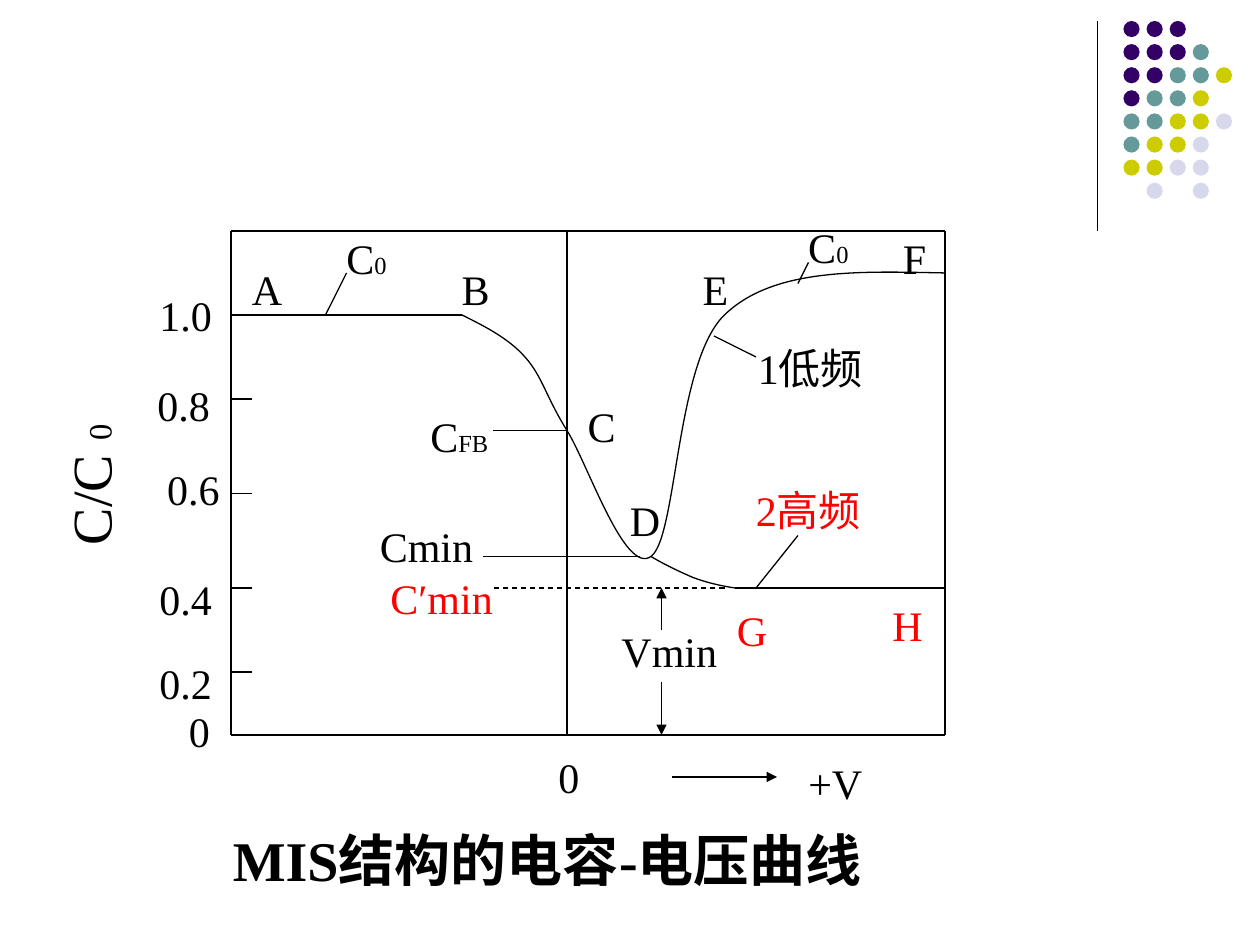
import itertools
from dataclasses import dataclass

import lxml.etree
import pptx
import pptx.dml.color
import pptx.enum.dml
import pptx.enum.shapes
import pptx.enum.text
import pptx.oxml.ns
import pptx.util


@dataclass(frozen=True)
class Theme:
    font: str = "Times New Roman"
    ink: str = "000000"
    accent: str = "FF0000"
    purple: str = "330066"
    teal: str = "669999"
    olive: str = "CCCC00"
    mist: str = "D8D8EC"
    heading: int = 32
    label: int = 24
    small: int = 14
    hairline: float = 0.75


THEME = Theme()
COLUMNS, ROWS = 60, 45
LEFT, AXIS, RIGHT, TOP, BOTTOM = 11, 27, 45, 11, 35


def rgb(value):
    return pptx.dml.color.RGBColor.from_string(value)


def write(paragraph, text, size=THEME.label, color=THEME.ink, bold=False, baseline=0):
    run = paragraph.add_run()
    run.text = text
    run.font.name = THEME.font
    run.font.size = pptx.util.Pt(size)
    run.font.bold = bold
    run.font.color.rgb = rgb(color)
    if baseline:
        run.font._element.set("baseline", str(baseline * 1000))


class GridSlide:
    def __init__(self, deck, theme):
        self.theme = theme
        self.slide = deck.slides.add_slide(deck.slide_layouts[6])
        self.cell_width = deck.slide_width / COLUMNS
        self.cell_height = deck.slide_height / ROWS

    def place(self, column, row):
        return round(column * self.cell_width), round(row * self.cell_height)

    def stroke(self, line):
        line.color.rgb = rgb(self.theme.ink)
        line.width = pptx.util.Pt(self.theme.hairline)

    def line(self, start, end, dashed=False, arrow=False):
        connector = self.slide.shapes.add_connector(
            pptx.enum.shapes.MSO_CONNECTOR.STRAIGHT, *self.place(*start), *self.place(*end))
        self.stroke(connector.line)
        if dashed:
            connector.line.dash_style = pptx.enum.dml.MSO_LINE.DASH
        properties = connector._element.spPr
        if arrow:
            outline = properties.find(pptx.oxml.ns.qn("a:ln"))
            lxml.etree.SubElement(outline, pptx.oxml.ns.qn("a:tailEnd"), type="triangle")
        lxml.etree.SubElement(properties, pptx.oxml.ns.qn("a:effectLst"))

    def curve(self, *points):
        start, *rest = [self.place(*point) for point in points]
        builder = self.slide.shapes.build_freeform(*start)
        builder.add_line_segments(rest, close=False)
        shape = builder.convert_to_shape()
        segments = list(shape._element.iter(pptx.oxml.ns.qn("a:lnTo")))
        for first in range(0, len(segments), 3):
            triple = segments[first:first + 3]
            cubic = lxml.etree.Element(pptx.oxml.ns.qn("a:cubicBezTo"))
            triple[0].addprevious(cubic)
            for segment in triple:
                cubic.append(segment[0])
                segment.getparent().remove(segment)
        shape.shadow.inherit = False
        shape.fill.background()
        self.stroke(shape.line)

    def dot(self, column, row, size, color):
        shape = self.slide.shapes.add_shape(
            pptx.enum.shapes.MSO_SHAPE.OVAL, *self.place(column, row), *self.place(size, size))
        shape.shadow.inherit = False
        shape.fill.solid()
        shape.fill.fore_color.rgb = rgb(color)
        shape.line.fill.background()

    def text(self, column, row, width, text, sub="", height=3, wrap=False, upward=False,
             sub_format=None, **style):
        box = self.slide.shapes.add_textbox(
            *self.place(column, row), *self.place(width, height))
        frame = box.text_frame
        frame.word_wrap = wrap
        frame.auto_size = pptx.enum.text.MSO_AUTO_SIZE.SHAPE_TO_FIT_TEXT
        if upward:
            box.rotation = 180
            frame._txBody.bodyPr.set("vert", "eaVert")
        write(frame.paragraphs[0], text, **style)
        if sub:
            write(frame.paragraphs[0], sub, **(sub_format or {"size": self.theme.small}))


def draw_ornament(page):
    page.line((52.25, 1), (52.25, TOP))
    colors = {"P": THEME.purple, "T": THEME.teal, "Y": THEME.olive, "L": THEME.mist}
    pattern = ("PPP", "PPPT", "PPTTY", "PTTY", "TTYYL", "TYYL", "YYLL", ".L.L")
    for row, dots in enumerate(pattern):
        for column, key in enumerate(dots):
            if key in colors:
                page.dot(53.5 + 1.1 * column, 1 + 1.1 * row, 0.77, colors[key])


def draw_axes(page):
    corners = [(LEFT, TOP), (RIGHT, TOP), (RIGHT, BOTTOM), (LEFT, BOTTOM), (LEFT, TOP)]
    for start, end in itertools.pairwise(corners):
        page.line(start, end)
    page.line((AXIS, TOP), (AXIS, BOTTOM))
    ticks = (("1.0", 15, 7, 13.5), ("0.8", 19, 6.9, 17.8), ("0.6", 23.5, 7.37, 21.8),
             ("0.4", 28, 7, 27), ("0.2", 32, 7, 31))
    for value, tick, column, row in ticks:
        page.line((LEFT, tick), (LEFT + 1, tick))
        page.text(column, row, 3.7, value)
    page.text(8.4, 33.3, 2.2, "0")
    page.text(26, 35.5, 2.2, "0")
    page.line((32, 37), (37, 37), arrow=True)
    page.text(37.9, 35.8, 3.8, "+V")
    page.text(2.35, 20.8, 4.4, "C/C", "0", height=5.75, upward=True, size=THEME.heading,
              sub_format={"size": THEME.heading, "baseline": -25})


def draw_curves(page):
    page.line((LEFT, 15), (22, 15))
    page.curve(
        (22, 15),
        (23.1, 15.55), (24.2, 16.1), (25, 17),
        (25.83, 17.93), (26, 18.9), (AXIS, 20.5),
        (28, 22.1), (29.75, 27.4), (31, 26.5),
        (32.25, 25.6), (32.17, 17.25), (34.5, 15),
        (36.83, 12.75), (40.9, 12.92), (RIGHT, 13))
    page.curve(
        (31, 26.5),
        (31.67, 26.9), (32.35, 27.22), (33, 27.5),
        (33.67, 27.75), (34.33, 27.9), (35, 28))
    page.line((35, 28), (RIGHT, 28))
    page.line((34.5, 28), (23.5, 28), dashed=True)
    leaders = (((AXIS, 20.5), (23.5, 20.5)), ((30.5, 26.5), (23, 26.5)),
               ((16.5, 13), (15.5, 15)), ((36, 17), (34, 16)),
               ((38, 13.5), (38.5, 12.5)), ((36, 28), (38, 25.5)))
    for start, end in leaders:
        page.line(start, end)
    page.line((31.5, 30), (31.5, 28), arrow=True)
    page.line((31.5, 32.5), (31.5, BOTTOM), arrow=True)


def draw_labels(page):
    black = (("A", 11.4, 12.25, 2.65), ("B", 21.4, 12.25, 2.5), ("C", 27.4, 18.8, 2.5),
             ("D", 29.4, 23.25, 2.65), ("E", 32.87, 12.25, 2.4), ("F", 42.4, 10.8, 2.35),
             ("Cmin", 17.5, 24.5, 5.75), ("Vmin", 29, 29.5, 5.8))
    red = (("C′min", 18, 26.95, 6.15), ("G", 34.5, 28.5, 2.65), ("H", 41.9, 28.25, 2.65))
    for color, labels in ((THEME.ink, black), (THEME.accent, red)):
        for label, column, row, width in labels:
            page.text(column, row, width, label, color=color)
    page.text(15.9, 10.8, 3.1, "C", "0")
    page.text(37.9, 10.25, 3.1, "C", "0")
    page.text(19.9, 19.25, 4, "C", "FB")
    page.text(35.5, 16, 6.2, "1低频", wrap=True)
    page.text(35.4, 22.8, 6.2, "2高频", wrap=True, color=THEME.accent)


def main():
    deck = pptx.Presentation()
    deck.slide_width = pptx.util.Inches(10)
    deck.slide_height = pptx.util.Inches(7.5)
    page = GridSlide(deck, THEME)
    draw_ornament(page)
    draw_axes(page)
    draw_curves(page)
    draw_labels(page)
    page.text(10.5, 39, 42.6, "MIS结构的电容-电压曲线", height=3.8, wrap=True,
              size=THEME.heading, bold=True)
    deck.save("out.pptx")


if __name__ == "__main__":
    main()
